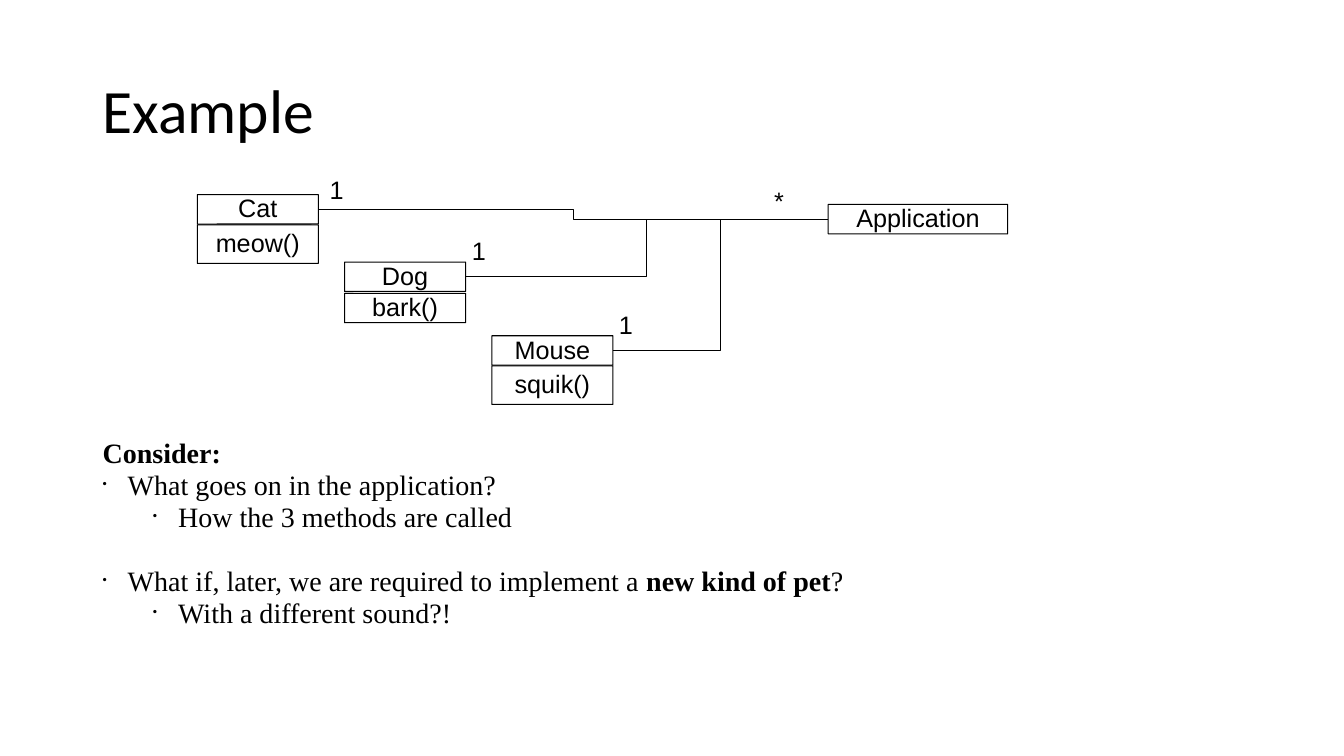
from lxml.etree import SubElement
from pptx import Presentation
from pptx.dml.color import RGBColor
from pptx.enum.shapes import MSO_CONNECTOR, MSO_SHAPE
from pptx.enum.text import MSO_ANCHOR, PP_ALIGN
from pptx.oxml.ns import qn
from pptx.util import Pt

BLACK = "000000"
BODY_FONT = "Times New Roman"
PETS = [
    ("Cat", "meow()", 141, 139, 21.6, 27.5, (235.4, 126)),
    ("Dog", "bark()", 246.2, 187.2, 22.3, 21, (337, 170)),
    ("Mouse", "squik()", 351.4, 239.8, 21.6, 27.5, (442.1, 222.5)),
]
PET_WIDTH = 86.4
NAME_HEIGHT = 21


def color(value):
    return RGBColor.from_string(value)


def write(paragraph, text, font="Arial", size=18, bold=False, spacing=0.95, align=PP_ALIGN.LEFT):
    paragraph.alignment = align
    paragraph.line_spacing = spacing
    run = paragraph.add_run()
    run.text = text
    run.font.name = font
    run.font.size = Pt(size)
    run.font.bold = bold
    run.font.color.rgb = color(BLACK)


def set_margins(frame, horizontal, vertical):
    frame.margin_left = frame.margin_right = Pt(horizontal)
    frame.margin_top = frame.margin_bottom = Pt(vertical)


def add_text_box(slide, left, top, width, height, margins=(7.2, 3.6), wrap=True):
    shape = slide.shapes.add_textbox(Pt(left), Pt(top), Pt(width), Pt(height))
    shape.text_frame.word_wrap = wrap
    set_margins(shape.text_frame, *margins)
    return shape.text_frame


def add_label(slide, text, left, top):
    frame = add_text_box(slide, left, top, 10, NAME_HEIGHT, margins=(0, 0), wrap=False)
    write(frame.paragraphs[0], text)


def add_class_box(slide, text, left, top, width, height):
    shape = slide.shapes.add_shape(
        MSO_SHAPE.ROUNDED_RECTANGLE, Pt(left), Pt(top), Pt(width), Pt(height))
    shape.adjustments[0] = 0.003
    shape.shadow.inherit = False
    shape.fill.background()
    shape.line.color.rgb = color(BLACK)
    shape.line.width = Pt(0.75)
    frame = shape.text_frame
    frame.word_wrap = True
    frame.vertical_anchor = MSO_ANCHOR.MIDDLE
    set_margins(frame, 0, 0)
    write(frame.paragraphs[0], text, align=PP_ALIGN.CENTER)
    return shape


def add_association(slide, start, end):
    connector = slide.shapes.add_connector(MSO_CONNECTOR.ELBOW, Pt(0), Pt(0), Pt(0), Pt(0))
    connector.begin_connect(start, 1)
    connector.end_connect(end, 3)
    connector.line.color.rgb = color(BLACK)
    connector.line.width = Pt(0.75)
    SubElement(connector._element.spPr, qn("a:effectLst"))


def add_bullet(paragraph, level):
    paragraph.level = level
    properties = paragraph._p.get_or_add_pPr()
    properties.set("marL", str(Pt(18 + 36 * level)))
    properties.set("indent", str(Pt(-18)))
    bullet_color = SubElement(properties, qn("a:buClr"))
    SubElement(bullet_color, qn("a:srgbClr"), val=BLACK)
    SubElement(properties, qn("a:buSzPct"), val="45000")
    SubElement(properties, qn("a:buChar"), char="•")


def add_questions(slide):
    frame = add_text_box(slide, 66.2, 309.6, 828, 177)
    write(frame.paragraphs[0], "Consider:", font=BODY_FONT, size=20, bold=True)
    questions = [
        (0, 0, ["What goes on in the application?"]),
        (1, 0, ["How the 3 methods are called"]),
        (0, 22.8, ["What if, later, we are required to implement a ", "new kind of pet", "?"]),
        (1, 0, ["With a different sound?!"]),
    ]
    for level, space, parts in questions:
        paragraph = frame.add_paragraph()
        add_bullet(paragraph, level)
        paragraph.space_before = Pt(space)
        for index, part in enumerate(parts):
            write(paragraph, part, font=BODY_FONT, size=20, bold=index == 1)


def add_diagram(slide):
    application = add_class_box(slide, "Application", 591.6, 146, 128.2, NAME_HEIGHT)
    add_label(slide, "*", 553, 134)
    for name, method, left, top, method_offset, method_height, label_position in PETS:
        pet = add_class_box(slide, name, left, top, PET_WIDTH, NAME_HEIGHT)
        add_class_box(slide, method, left, top + method_offset, PET_WIDTH, method_height)
        add_label(slide, "1", *label_position)
        add_association(slide, application, pet)


def main():
    presentation = Presentation()
    presentation.slide_width = Pt(960)
    presentation.slide_height = Pt(540)
    slide = presentation.slides.add_slide(presentation.slide_layouts[6])
    title = add_text_box(slide, 66.2, 28.8, 828, 104.4)
    title.vertical_anchor = MSO_ANCHOR.MIDDLE
    write(title.paragraphs[0], "Example", font="Calibri", size=44, spacing=0.9)
    add_questions(slide)
    add_diagram(slide)
    presentation.save("out.pptx")


if __name__ == "__main__":
    main()
